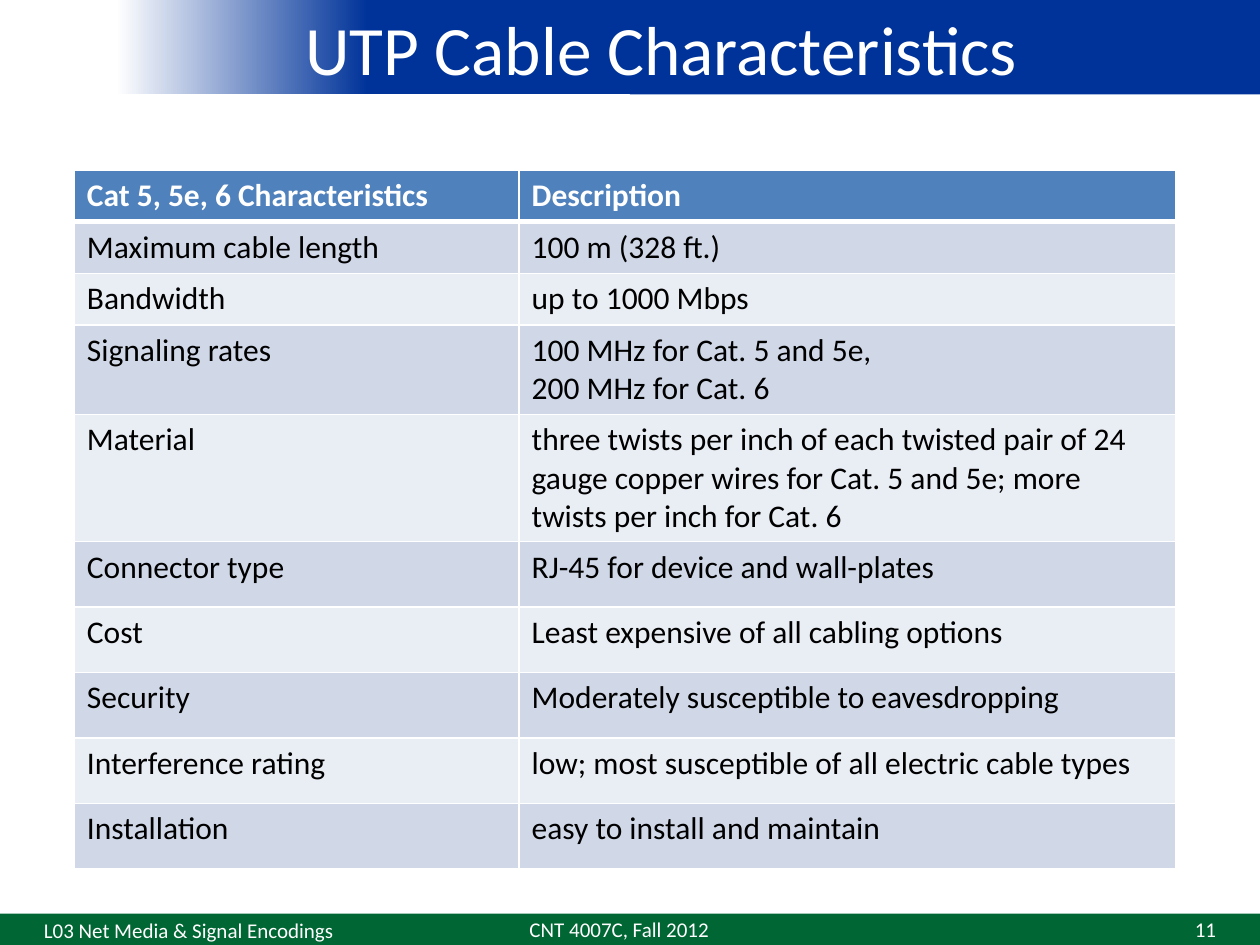
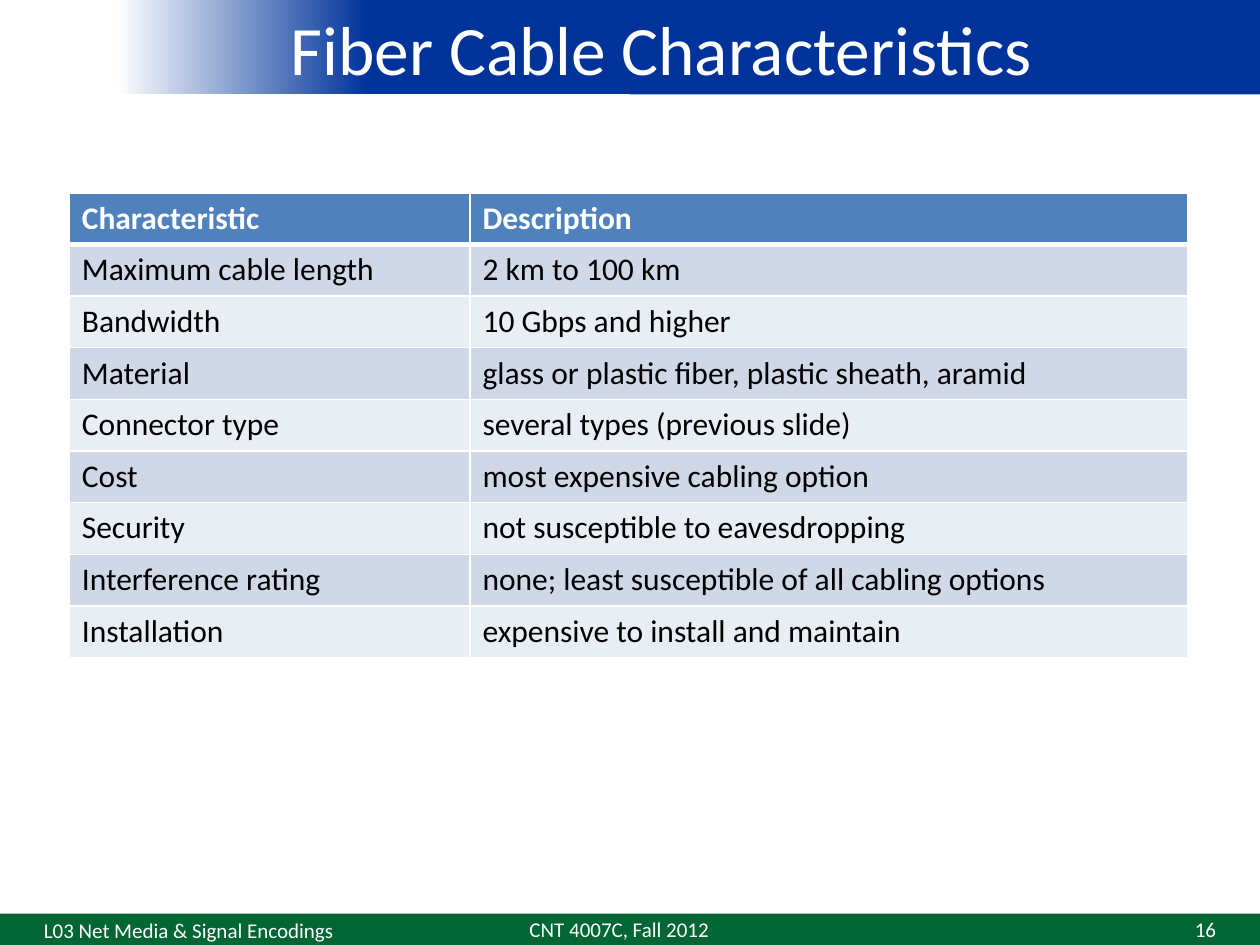
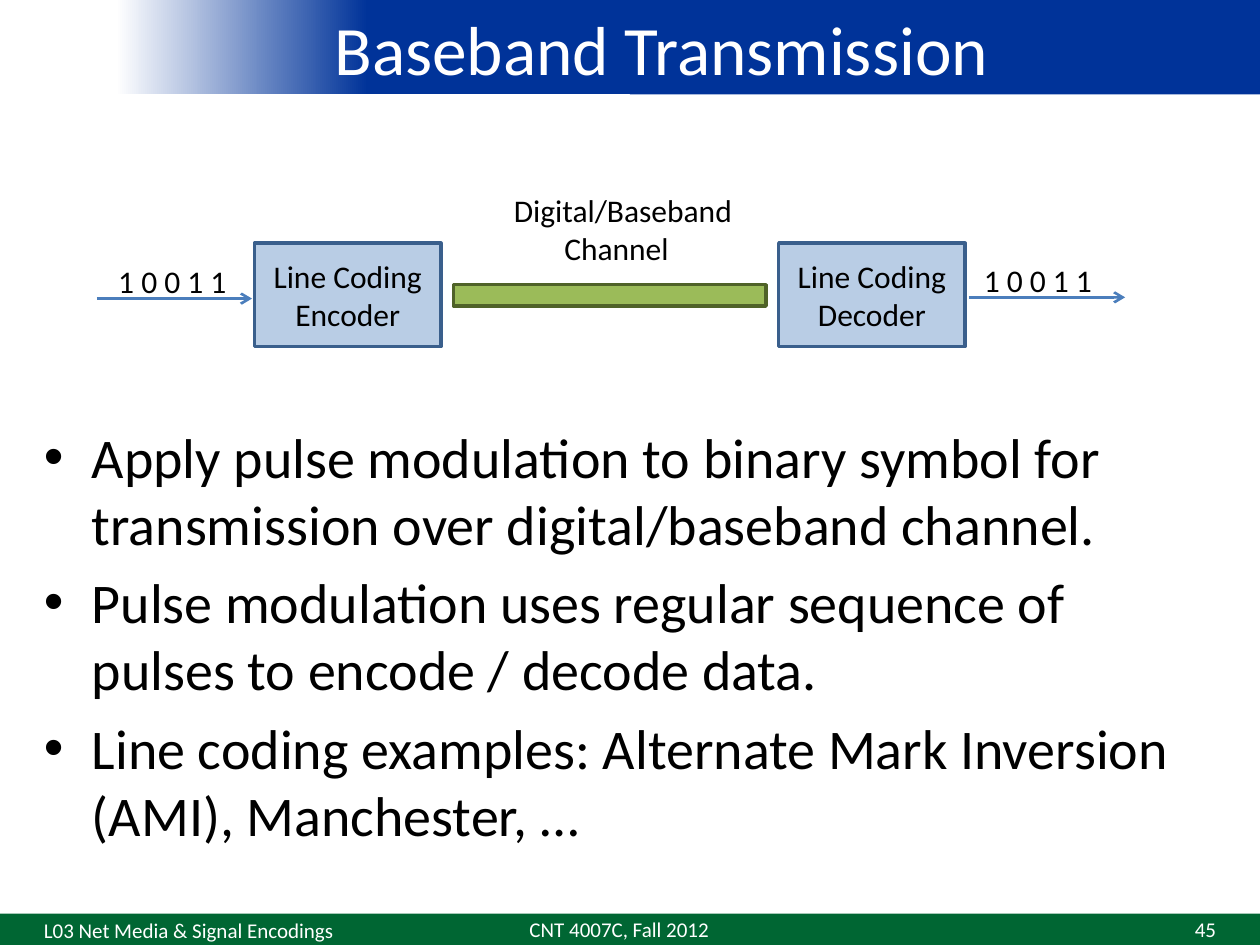
from dataclasses import dataclass

from lxml import etree
from pptx import Presentation
from pptx.dml.color import RGBColor
from pptx.enum.shapes import MSO_CONNECTOR, MSO_SHAPE
from pptx.enum.text import MSO_ANCHOR, PP_ALIGN
from pptx.oxml.ns import qn
from pptx.util import Inches, Pt

RECTANGLE = MSO_SHAPE.RECTANGLE
STRAIGHT = MSO_CONNECTOR.STRAIGHT
TOP, MIDDLE = MSO_ANCHOR.TOP, MSO_ANCHOR.MIDDLE
LEFT, CENTER, RIGHT = PP_ALIGN.LEFT, PP_ALIGN.CENTER, PP_ALIGN.RIGHT

FONT = "Calibri"
WHITE, BLACK = "FFFFFF", "000000"
TITLE_BLUE, FOOTER_GREEN = "003399", "006633"
HEADER_BLUE, BAND_DARK, BAND_LIGHT = "4F81BD", "D0D8E8", "E9EDF4"
BLOCK_FILL, BLOCK_LINE = "B9CDE5", "3A5F8C"
CHANNEL_FILL, CHANNEL_LINE = "9BBB59", "4F6228"
ARROW_BLUE = "4B7EBC"


@dataclass(frozen=True)
class Area:
    left: float
    top: float
    width: float
    height: float

    def lengths(self) -> tuple:
        return tuple(Inches(value) for value in (self.left, self.top, self.width, self.height))


@dataclass(frozen=True)
class TextStyle:
    size: float
    color: str = BLACK
    align: PP_ALIGN = LEFT
    anchor: MSO_ANCHOR = TOP
    bold: bool = False
    wrap: bool = True


@dataclass(frozen=True)
class TableSpec:
    left: float
    top: float
    columns: tuple[float, ...]
    heights: tuple[float, ...]
    rows: tuple[tuple[str, str], ...]


@dataclass(frozen=True)
class Block:
    area: Area
    fill: str
    line: str
    text: str = ""


@dataclass(frozen=True)
class Arrow:
    start: float
    end: float
    level: float


TITLE_STYLE = TextStyle(39.6, WHITE, CENTER, MIDDLE)
BODY_STYLE = TextStyle(32)
BLOCK_STYLE = TextStyle(18, BLACK, CENTER, MIDDLE)
LABEL_STYLE = TextStyle(18, wrap=False)
CELL_STYLE = TextStyle(18)
HEADER_STYLE = TextStyle(18, WHITE, bold=True)

UTP_TABLE = TableSpec(
    0.59, 1.35, (3.53, 5.21),
    (0.41,) * 3 + (0.71, 1.01) + (0.52,) * 5,
    (
        ("Cat 5, 5e, 6 Characteristics", "Description"),
        ("Maximum cable length", "100 m (328 ft.)"),
        ("Bandwidth", "up to 1000 Mbps"),
        ("Signaling rates", "100 MHz for Cat. 5 and 5e,\n200 MHz for Cat. 6"),
        ("Material", "three twists per inch of each twisted pair of 24 gauge copper wires "
                     "for Cat. 5 and 5e; more twists per inch for Cat. 6"),
        ("Connector type", "RJ-45 for device and wall-plates"),
        ("Cost", "Least expensive of all cabling options"),
        ("Security", "Moderately susceptible to eavesdropping"),
        ("Interference rating", "low; most susceptible of all electric cable types"),
        ("Installation", "easy to install and maintain"),
    ),
)
FIBER_TABLE = TableSpec(
    0.55, 1.53, (3.18, 5.7), (0.41,) * 9,
    (
        ("Characteristic", "Description"),
        ("Maximum cable length", "2 km to 100 km"),
        ("Bandwidth", "10 Gbps and higher"),
        ("Material", "glass or plastic fiber, plastic sheath, aramid"),
        ("Connector type", "several types (previous slide)"),
        ("Cost", "most expensive cabling option"),
        ("Security", "not susceptible to eavesdropping"),
        ("Interference rating", "none; least susceptible of all cabling options"),
        ("Installation", "expensive to install and maintain"),
    ),
)

BLOCKS = (
    Block(Area(2.02, 1.93, 1.48, 0.82), BLOCK_FILL, BLOCK_LINE, "Line Coding Encoder"),
    Block(Area(3.6, 2.26, 2.48, 0.17), CHANNEL_FILL, CHANNEL_LINE),
    Block(Area(6.18, 1.93, 1.48, 0.82), BLOCK_FILL, BLOCK_LINE, "Line Coding Decoder"),
)
ARROWS = (Arrow(0.77, 2, 2.37), Arrow(7.69, 8.93, 2.36))
BIT_AREAS = (Area(0.84, 2.03, 1.07, 0.4), Area(7.71, 2.02, 1.07, 0.4))
BULLETS = (
    "Apply pulse modulation to binary symbol for transmission over digital/baseband channel.",
    "Pulse modulation uses regular sequence of pulses to encode / decode data.",
    "Line coding examples: Alternate Mark Inversion (AMI), Manchester, …",
)


def rgb(color: str) -> RGBColor:
    return RGBColor.from_string(color)


def indent(para, margin: float, first_line: float = 0) -> None:
    properties = para._p.get_or_add_pPr()
    properties.set("marL", str(Inches(margin)))
    properties.set("indent", str(Inches(first_line)))


def add_bullet(para) -> None:
    indent(para, 0.38, -0.38)
    properties = para._p.get_or_add_pPr()
    etree.SubElement(properties, qn("a:buFont")).set("typeface", "Arial")
    etree.SubElement(properties, qn("a:buChar")).set("char", "•")


def write(frame, lines: tuple[str, ...], style: TextStyle, bulleted: bool = False) -> None:
    for index, line in enumerate(lines):
        para = frame.add_paragraph() if index else frame.paragraphs[0]
        para.text = line
        para.alignment = style.align
        if bulleted:
            add_bullet(para)
            para.space_before = Pt(0.2 * style.size if index else 0)
        font = para.font
        font.name = FONT
        font.size = Pt(style.size)
        font.bold = style.bold
        font.color.rgb = rgb(style.color)


def add_text(page, area: Area, lines: tuple[str, ...], style: TextStyle, bulleted: bool = False):
    frame = page.shapes.add_textbox(*area.lengths()).text_frame
    frame.word_wrap = style.wrap
    frame.vertical_anchor = style.anchor
    write(frame, lines, style, bulleted)
    return frame


def add_band(page, area: Area, color: str):
    band = page.shapes.add_shape(RECTANGLE, *area.lengths())
    band.shadow.inherit = False
    band.fill.solid()
    band.fill.fore_color.rgb = rgb(color)
    band.line.fill.background()
    return band


def add_page(deck, title: str, number: int):
    page = deck.slides.add_slide(deck.slide_layouts[6])
    add_band(page, Area(5, 0, 5, 0.75), TITLE_BLUE)
    fade = add_band(page, Area(0.75, 0, 4.25, 0.75), TITLE_BLUE)
    fade.fill.gradient()
    fade.fill.gradient_angle = 180
    for stop, (position, color) in zip(fade.fill.gradient_stops, ((0.49, TITLE_BLUE), (0.96, WHITE))):
        stop.position = position
        stop.color.rgb = rgb(color)
    add_band(page, Area(0, 7.25, 10, 0.25), FOOTER_GREEN)
    add_text(page, Area(0.75, 0, 9, 0.75), (title,), TITLE_STYLE)
    footers = (
        (Area(0.25, 7.26, 2.52, 0.24), "L03 Net Media & Signal Encodings", LEFT),
        (Area(3.33, 7.25, 3.17, 0.25), "CNT 4007C, Fall 2012", CENTER),
        (Area(7.42, 7.25, 2.33, 0.25), str(number), RIGHT),
    )
    for area, text, align in footers:
        add_text(page, area, (text,), TextStyle(12, WHITE, align, MIDDLE))
    return page


def add_borders(cell, top: float, bottom: float) -> None:
    properties = cell._tc.get_or_add_tcPr()
    for side, width in (("L", 1), ("R", 1), ("T", top), ("B", bottom)):
        border = etree.SubElement(properties, qn(f"a:ln{side}"), w=str(Pt(width)))
        fill = etree.SubElement(border, qn("a:solidFill"))
        etree.SubElement(fill, qn("a:srgbClr")).set("val", WHITE)


def add_characteristics(page, spec: TableSpec) -> None:
    area = Area(spec.left, spec.top, sum(spec.columns), sum(spec.heights))
    table = page.shapes.add_table(len(spec.rows), len(spec.columns), *area.lengths()).table
    table.first_row = True
    table.horz_banding = False
    for column, width in zip(table.columns, spec.columns):
        column.width = Inches(width)
    for index, (row, height, texts) in enumerate(zip(table.rows, spec.heights, spec.rows)):
        row.height = Inches(height)
        band = BAND_DARK if index % 2 else BAND_LIGHT
        for cell, text in zip(row.cells, texts):
            add_borders(cell, 3 if index == 1 else 1, 1 if index else 3)
            cell.fill.solid()
            cell.fill.fore_color.rgb = rgb(band if index else HEADER_BLUE)
            write(cell.text_frame, tuple(text.split("\n")), CELL_STYLE if index else HEADER_STYLE)


def add_block(page, block: Block) -> None:
    box = add_band(page, block.area, block.fill)
    box.line.color.rgb = rgb(block.line)
    box.line.width = Pt(2)
    if block.text:
        box.text_frame.word_wrap = True
        box.text_frame.vertical_anchor = MIDDLE
        write(box.text_frame, (block.text,), BLOCK_STYLE)


def add_arrow(page, arrow: Arrow) -> None:
    level = Inches(arrow.level)
    connector = page.shapes.add_connector(STRAIGHT, Inches(arrow.start), level, Inches(arrow.end), level)
    connector.line.color.rgb = rgb(ARROW_BLUE)
    connector.line.width = Pt(1.5)
    etree.SubElement(connector.line._get_or_add_ln(), qn("a:tailEnd")).set("type", "arrow")
    etree.SubElement(connector._element.spPr, qn("a:effectLst"))


def add_transmission(page) -> None:
    add_text(page, Area(0.25, 3.3, 9.5, 3.78), BULLETS, BODY_STYLE, bulleted=True)
    for block in BLOCKS:
        add_block(page, block)
    for arrow in ARROWS:
        add_arrow(page, arrow)
    for area in BIT_AREAS:
        add_text(page, area, ("1 0 0 1 1",), LABEL_STYLE)
    label = add_text(page, Area(3.98, 1.47, 1.95, 0.71), ("Digital/Baseband", "Channel"), LABEL_STYLE)
    indent(label.paragraphs[1], 0.4)


def main() -> None:
    deck = Presentation()
    deck.slide_width, deck.slide_height = Inches(10), Inches(7.5)
    add_characteristics(add_page(deck, "UTP Cable Characteristics", 11), UTP_TABLE)
    add_characteristics(add_page(deck, "Fiber Cable Characteristics", 16), FIBER_TABLE)
    add_transmission(add_page(deck, "Baseband Transmission", 45))
    deck.save("out.pptx")


if __name__ == "__main__":
    main()
